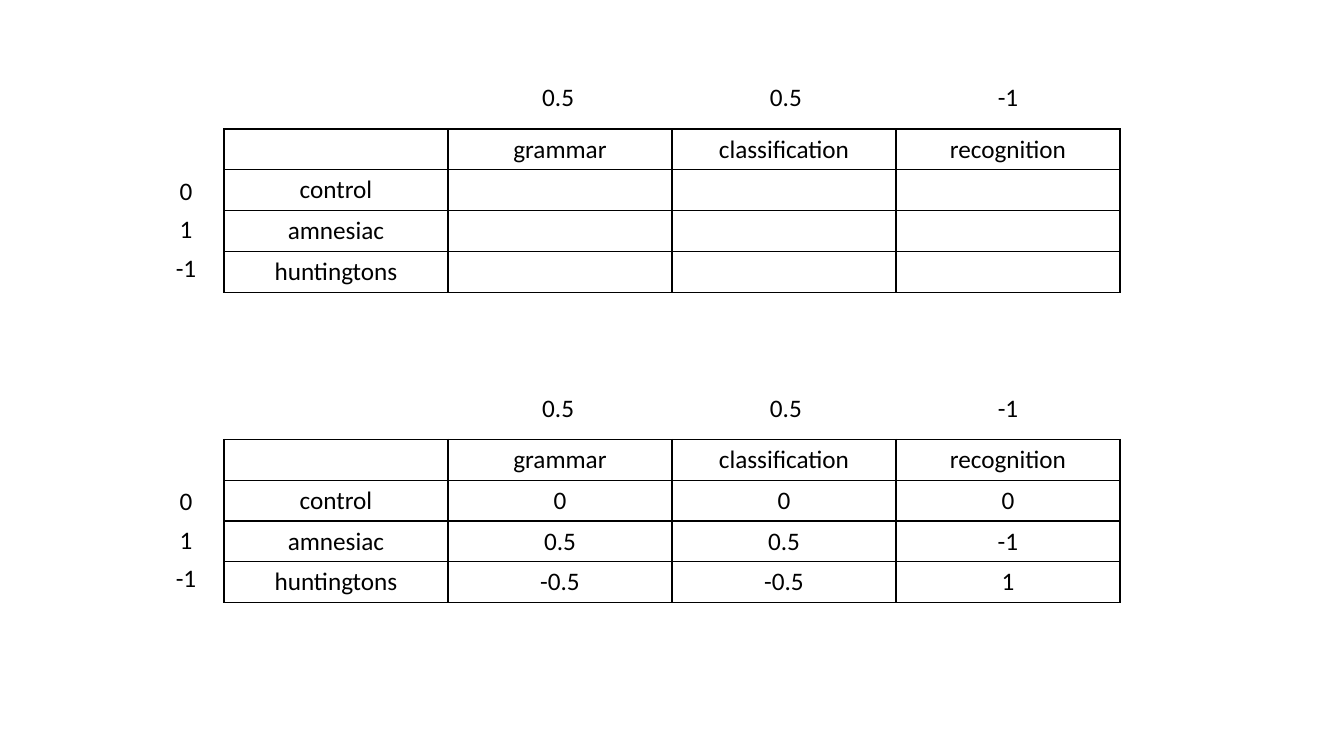
"""Build a slide with an empty and a filled table of contrast weights."""
import lxml.etree
import pptx
import pptx.dml.color
import pptx.enum.text
import pptx.oxml.ns
import pptx.util

TASKS = ["grammar", "classification", "recognition"]
GROUPS = ["control", "amnesiac", "huntingtons"]
TASK_WEIGHTS = ["0.5", "0.5", "-1"]
GROUP_WEIGHTS = ["0", "1", "-1"]
EMPTY = [["", "", ""]] * 3
PRODUCTS = [["0", "0", "0"], ["0.5", "0.5", "-1"], ["-0.5", "-0.5", "1"]]
PANELS = [(1.28, EMPTY), (4.36, PRODUCTS)]

WIDTH, HEIGHT = 13.333, 7.5
COLUMN, ROW = WIDTH / 6, 0.405
TABLE_LEFT = COLUMN
GROUP_LEFT, GROUP_WIDTH, GROUP_HEIGHT = 1.64, 0.41, 1.18
TASK_LEFT, TASK_STEP, TASK_RISE = 5.28, 2.26, 0.52
TASK_WIDTHS = [0.52, 0.52, 0.41]
TASK_HEIGHT = 0.4
FONT, SIZE, INK = "Calibri", 18, "000000"
CENTER = pptx.enum.text.PP_ALIGN.CENTER
LEFT = pptx.enum.text.PP_ALIGN.LEFT


def color(value):
    return pptx.dml.color.RGBColor.from_string(value)


def write(para, text, align):
    para.alignment = align
    para.font.size = pptx.util.Pt(SIZE)
    if text:
        span = para.add_run()
        span.text = text
        span.font.name = FONT
        span.font.size = pptx.util.Pt(SIZE)
        span.font.color.rgb = color(INK)


def add_border(cell):
    properties = cell._tc.get_or_add_tcPr()
    for place, side in enumerate(["a:lnL", "a:lnR", "a:lnT", "a:lnB"]):
        line = lxml.etree.Element(pptx.oxml.ns.qn(side), w=str(pptx.util.Pt(1)))
        fill = lxml.etree.SubElement(line, pptx.oxml.ns.qn("a:solidFill"))
        lxml.etree.SubElement(fill, pptx.oxml.ns.qn("a:srgbClr"), val=INK)
        properties.insert(place, line)


def add_grid(page, top, values):
    rows = [["", *TASKS]] + [[group, *line] for group, line in zip(GROUPS, values)]
    place = map(pptx.util.Inches, (TABLE_LEFT, top, COLUMN * len(rows[0]), ROW * len(rows)))
    table = page.shapes.add_table(len(rows), len(rows[0]), *place).table
    table.first_row = table.horz_banding = False
    for row, line in enumerate(rows):
        for column, text in enumerate(line):
            cell = table.cell(row, column)
            cell.fill.background()
            add_border(cell)
            write(cell.text_frame.paragraphs[0], text, CENTER)


def add_label(page, left, top, width, height, lines, align, gap):
    box = page.shapes.add_textbox(*map(pptx.util.Inches, (left, top, width, height)))
    frame = box.text_frame
    frame.word_wrap = False
    frame.auto_size = pptx.enum.text.MSO_AUTO_SIZE.SHAPE_TO_FIT_TEXT
    for index, text in enumerate(lines):
        para = frame.add_paragraph() if index else frame.paragraphs[0]
        para.space_after = pptx.util.Pt(gap)
        write(para, text, align)


def main():
    deck = pptx.Presentation()
    deck.slide_width = pptx.util.Inches(WIDTH)
    deck.slide_height = pptx.util.Inches(HEIGHT)
    page = deck.slides.add_slide(deck.slide_layouts[6])
    for top, values in PANELS:
        add_grid(page, top, values)
        add_label(page, GROUP_LEFT, top + ROW, GROUP_WIDTH, GROUP_HEIGHT,
                  GROUP_WEIGHTS, CENTER, 6)
        for index, (weight, width) in enumerate(zip(TASK_WEIGHTS, TASK_WIDTHS)):
            add_label(page, TASK_LEFT + index * TASK_STEP, top - TASK_RISE,
                      width, TASK_HEIGHT, [weight], LEFT, 0)
    deck.save("out.pptx")


if __name__ == "__main__":
    main()
